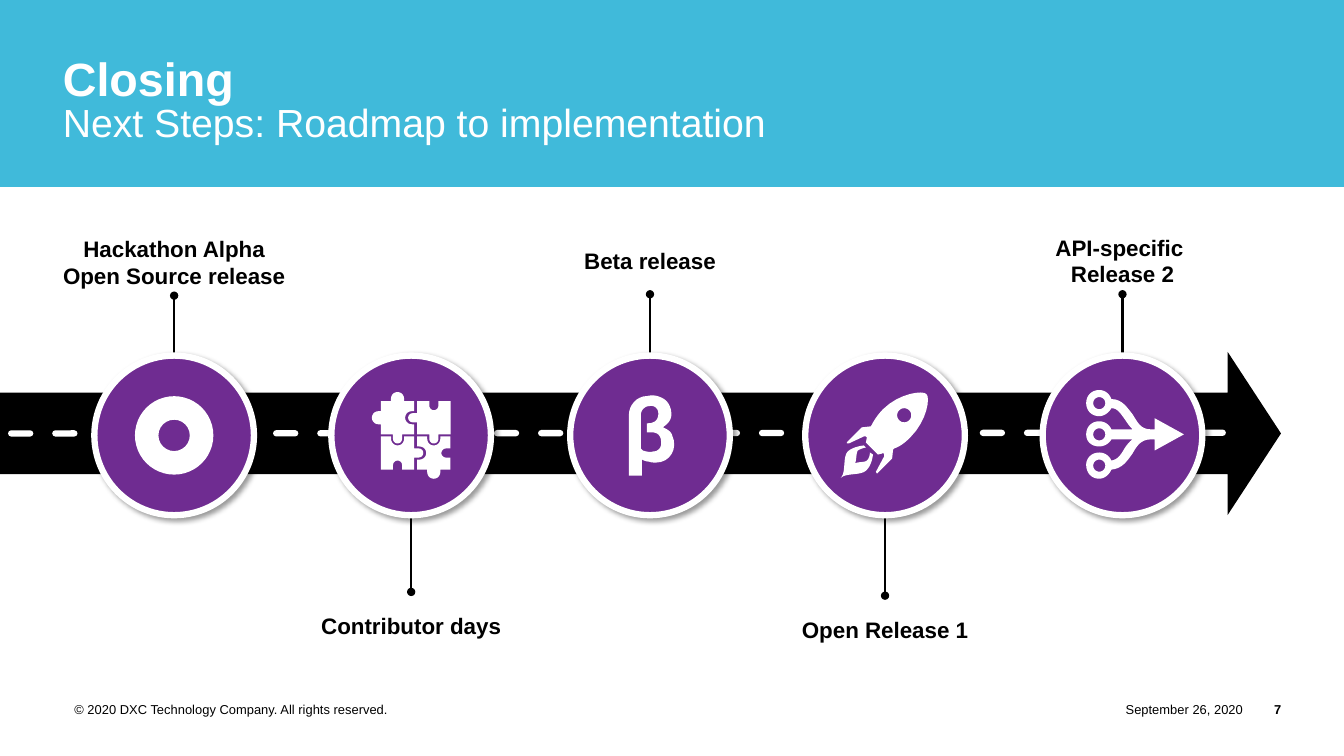
from math import cos, pi, sin

from lxml.etree import SubElement
from pptx import Presentation
from pptx.dml.color import RGBColor
from pptx.enum.dml import MSO_LINE
from pptx.enum.shapes import MSO_CONNECTOR, MSO_SHAPE
from pptx.enum.text import MSO_ANCHOR, MSO_AUTO_SIZE, PP_ALIGN
from pptx.oxml.ns import qn
from pptx.util import Pt

COLORS = {"band": "40BADA", "road": "000000", "milestone": "6F2C91", "white": "FFFFFF", "text": "000000"}
FONT = "Arial"
ICON_UNIT = 0.72
RADIUS = 57
LABEL_WIDTH, LABEL_HEIGHT = 176.4, 48.2

BETA = [
    [(13, -8), (17, -6, 21, -4, 22, 0), (28, 13, 20, 27, 6, 27), (4, 27, 1, 27, -1, 26),
     (-4, 26, -6, 25, -8, 24), (-8, 40), (-21, 40), (-21, -20), (-21, -30, -13, -39, -3, -39),
     (1, -40, 6, -40, 10, -38), (16, -36, 20, -31, 21, -24), (22, -18, 20, -13, 14, -9)],
    [(-3, -12), (-1, -12, 1, -12, 3, -13), (7, -14, 9, -19, 8, -24), (7, -28, 3, -30, -1, -29),
     (-5, -29, -9, -25, -9, -21), (-9, 13), (-7, 15), (-4, 16, 0, 17, 3, 16),
     (8, 16, 12, 12, 11, 6), (11, 0, 7, -3, 2, -3), (-3, -3)],
]
ROCKET = [(41, -41), (38, -45, 14, -42, -2, -26), (-7, -21, -11, -15, -14, -9), (-23, -8), (-24, -7),
          (-38, 7), (-38, 8), (-36, 8), (-21, 1), (-19, 1), (-18, 2), (-19, 7), (-8, 18), (-7, 19),
          (-3, 18), (-2, 17, -1, 18, -1, 19), (-1, 21), (-9, 36), (-8, 38), (-7, 37), (7, 23),
          (8, 14), (9, 13), (15, 11, 20, 7, 25, 2), (42, -15, 45, -38, 41, -41)]
FLAME = [(-15, 17), (-15, 17, -15, 22, -18, 25), (-20, 27, -28, 26, -30, 28),
         (-28, 25, -29, 18, -27, 15), (-24, 13, -19, 12, -19, 12), (-21, 10),
         (-21, 10, -32, 11, -37, 16), (-42, 21, -39, 36, -43, 41), (-44, 42),
         (-38, 37, -24, 40, -19, 35), (-13, 30, -12, 19, -12, 19)]
MERGE = [(-11, 34), (0, 33, 5, 25, 10, 18), (14, 11, 18, 4, 28, 4), (32, 4), (32, 15), (61, -1),
         (32, -17), (32, -6), (28, -6), (18, -6, 15, -13, 10, -21), (5, -27, 0, -36, -11, -36),
         (-13, -42, -18, -45, -23, -45), (-31, -45, -36, -39, -36, -32),
         (-36, -25, -31, -19, -23, -19), (-18, -19, -13, -23, -11, -27),
         (-5, -27, -2, -22, 3, -15), (5, -12, 7, -9, 10, -6), (-11, -6),
         (-13, -11, -18, -14, -23, -14), (-31, -14, -36, -8, -36, -1), (-36, 6, -31, 11, -23, 11),
         (-18, 11, -13, 8, -11, 4), (10, 4), (7, 6, 4, 10, 2, 13), (-2, 20, -5, 24, -11, 25),
         (-13, 20, -18, 17, -23, 17), (-31, 17, -36, 23, -36, 29), (-36, 37, -31, 43, -23, 43),
         (-18, 43, -13, 39, -11, 34)]


def rgb(name):
    return RGBColor.from_string(COLORS[name])


def circle(x, y, radius):
    return [(x + radius * cos(k * pi / 16), y + radius * sin(k * pi / 16)) for k in range(32)]


def puzzle_piece(x, y, edges, side=33, depth=9):
    outline = []
    corner, along, outward = (x, y), (1, 0), (0, -1)
    for direction, half in edges:
        profile = [(0, 0)]
        if direction:
            arc = [(side / 2 - half * cos(k * pi / 10), depth - half + half * sin(k * pi / 10)) for k in range(11)]
            profile += [(side / 2 - half, 0), *arc, (side / 2 + half, 0)]
        outline += [tuple(corner[i] + along[i] * a + outward[i] * b * direction for i in (0, 1))
                    for a, b in profile]
        corner = tuple(corner[i] + along[i] * side for i in (0, 1))
        along, outward = (-along[1], along[0]), (-outward[1], outward[0])
    return outline


FLAT, TAB, SLOT = (0, 0), (1, 4.5), (-1, 4.5)
WIDE_TAB, WIDE_SLOT = (1, 6.5), (-1, 6.5)
PUZZLE = [
    [puzzle_piece(-30, -34, [WIDE_TAB, WIDE_SLOT, TAB, WIDE_TAB])],
    [puzzle_piece(6, -34, [SLOT, FLAT, TAB, TAB])],
    [puzzle_piece(6, 1, [WIDE_SLOT, SLOT, WIDE_TAB, WIDE_SLOT])],
    [puzzle_piece(-30, 1, [WIDE_SLOT, TAB, SLOT, FLAT])],
]
ICONS = {
    "puzzle": PUZZLE,
    "beta": [BETA],
    "rocket": [[ROCKET, circle(19, -20, 7)], [FLAME]],
    "merge": [[MERGE] + [circle(-23, y, 6) for y in (-32, -1, 30)]],
}


def flatten(steps):
    points = []
    for step in steps:
        if len(step) == 2:
            points.append(step)
            continue
        knots = [points[-1], step[:2], step[2:4], step[4:]]
        for k in range(1, 9):
            t = k / 8
            weights = ((1 - t) ** 3, 3 * t * (1 - t) ** 2, 3 * t * t * (1 - t), t ** 3)
            points.append(tuple(sum(w * knot[i] for w, knot in zip(weights, knots)) for i in (0, 1)))
    return points


def paint(shape, color):
    shape.shadow.inherit = False
    shape.fill.solid()
    shape.fill.fore_color.rgb = rgb(color)
    shape.line.fill.background()


def add_preset(slide, preset, left, top, width, height, color):
    shape = slide.shapes.add_shape(preset, Pt(left), Pt(top), Pt(width), Pt(height))
    paint(shape, color)
    return shape


def add_text(slide, text, left, top, width, height, size, align, bold=False, inset=0.0, wrap=True):
    frame = slide.shapes.add_textbox(Pt(left), Pt(top), Pt(width), Pt(height)).text_frame
    frame.word_wrap = wrap
    frame.vertical_anchor = MSO_ANCHOR.MIDDLE
    frame.margin_left = frame.margin_right = Pt(inset)
    frame.margin_top = frame.margin_bottom = Pt(inset / 2)
    frame.text = text
    paragraph = frame.paragraphs[0]
    paragraph.alignment = align
    for run in paragraph.runs:
        run.font.name, run.font.size, run.font.bold = FONT, Pt(size), bold
        run.font.color.rgb = rgb("text")


def add_line(slide, x1, y1, x2, y2, color, weight):
    connector = slide.shapes.add_connector(MSO_CONNECTOR.STRAIGHT, Pt(x1), Pt(y1), Pt(x2), Pt(y2))
    connector.line.color.rgb = rgb(color)
    connector.line.width = Pt(weight)
    SubElement(connector.element.spPr, qn("a:effectLst"))
    return connector


def add_icon(slide, icon, x, y):
    if icon == "ring":
        ring = add_preset(slide, MSO_SHAPE.DONUT, x - 28, y - 28, 56, 56, "white")
        ring.adjustments[0] = 0.3
        return
    for contours in ICONS[icon]:
        builder = None
        for contour in contours:
            points = [(Pt(x + a * ICON_UNIT), Pt(y + b * ICON_UNIT)) for a, b in flatten(contour)]
            if builder is None:
                builder = slide.shapes.build_freeform(*points[0])
            else:
                builder.move_to(*points[0])
            builder.add_line_segments(points[1:], close=True)
        paint(builder.convert_to_shape(), "white")


def add_header(slide, width, height):
    title = slide.shapes.title
    band = add_preset(slide, MSO_SHAPE.RECTANGLE, 0, 0, width, height, "band")
    title.element.addprevious(band.element)
    title.left, title.top, title.width, title.height = Pt(44.9), Pt(41.6), Pt(870), Pt(height - 41.6)
    frame = title.text_frame
    frame.auto_size = MSO_AUTO_SIZE.NONE
    frame.word_wrap = True
    frame.vertical_anchor = MSO_ANCHOR.TOP
    frame.margin_left = frame.margin_right = frame.margin_top = frame.margin_bottom = 0
    frame.text = "Closing\vNext Steps: Roadmap to implementation"
    paragraph = frame.paragraphs[0]
    paragraph.alignment = PP_ALIGN.LEFT
    paragraph.line_spacing = 0.85
    for run, size, bold in zip(paragraph.runs, (33.3, 28), (True, False)):
        run.font.name, run.font.size, run.font.bold = FONT, Pt(size), bold
        run.font.color.rgb = rgb("white")


def add_road(slide, left, top, width, height):
    road = add_preset(slide, MSO_SHAPE.RIGHT_ARROW, left, top, width, height, "road")
    road.adjustments[0], road.adjustments[1] = 0.5, 0.327
    middle = top + height / 2
    marking = add_line(slide, left + 8, middle, left + width - 38, middle - 0.5, "white", 4.5)
    marking.line.dash_style = MSO_LINE.DASH
    marking.element.spPr.find(qn("a:ln")).set("cap", "rnd")


def add_milestone(slide, x, y, label, stem_end, icon):
    above = stem_end < y
    label_top = stem_end - LABEL_HEIGHT if above else stem_end
    add_text(slide, label, x - LABEL_WIDTH / 2, label_top, LABEL_WIDTH, LABEL_HEIGHT,
             16, PP_ALIGN.CENTER, bold=True, inset=7.2)
    stem = add_line(slide, x, y - RADIUS if above else y + RADIUS, x, stem_end, "text", 1.5)
    SubElement(stem.element.spPr.find(qn("a:ln")), qn("a:tailEnd"), type="oval")
    disc = add_preset(slide, MSO_SHAPE.OVAL, x - RADIUS, y - RADIUS, 2 * RADIUS, 2 * RADIUS, "milestone")
    disc.line.color.rgb = rgb("white")
    disc.line.width = Pt(4.5)
    effects = disc.element.spPr.find(qn("a:effectLst"))
    shadow = SubElement(effects, qn("a:outerShdw"), blurRad=str(Pt(4)), dist=str(Pt(3)),
                        dir="2700000", algn="tl", rotWithShape="0")
    shade = SubElement(shadow, qn("a:srgbClr"), val=COLORS["road"])
    SubElement(shade, qn("a:alpha"), val="40000")
    add_icon(slide, icon, x, y)


def add_footer(slide, top, height):
    add_text(slide, "© 2020 DXC Technology Company. All rights reserved.", 0, top, 330, height,
             9.2, PP_ALIGN.CENTER, wrap=False)
    add_text(slide, "September 26, 2020", 780.5, top, 107.3, height, 9.2, PP_ALIGN.RIGHT, wrap=False)
    add_text(slide, "7", 887.8, top, 27.4, height, 9.2, PP_ALIGN.RIGHT, bold=True)


def main():
    presentation = Presentation()
    presentation.slide_width, presentation.slide_height = Pt(960), Pt(540)
    slide = presentation.slides.add_slide(presentation.slide_layouts[5])
    add_header(slide, 960, 133.6)
    add_road(slide, 0, 251.3, 915, 116.6)
    milestones = [
        (124.4, "Hackathon Alpha Open Source release", 211.2, "ring"),
        (293.7, "Contributor days", 422.8, "puzzle"),
        (464.3, "Beta release", 210.2, "beta"),
        (632.2, "Open Release 1", 425.5, "rocket"),
        (801.8, "API-specific \vRelease 2", 210.2, "merge"),
    ]
    for x, label, stem_end, icon in milestones:
        add_milestone(slide, x, 311, label, stem_end, icon)
    add_footer(slide, 497.5, 18)
    presentation.save("out.pptx")


if __name__ == "__main__":
    main()
